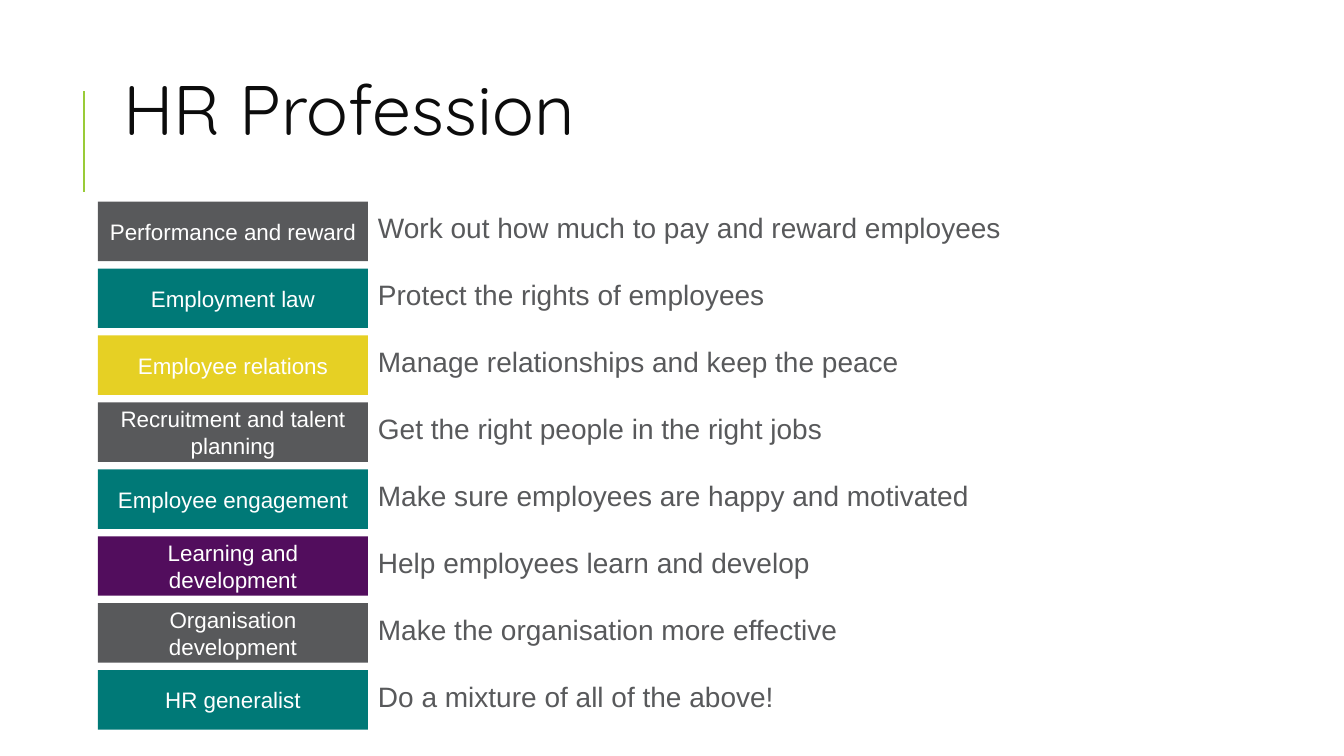
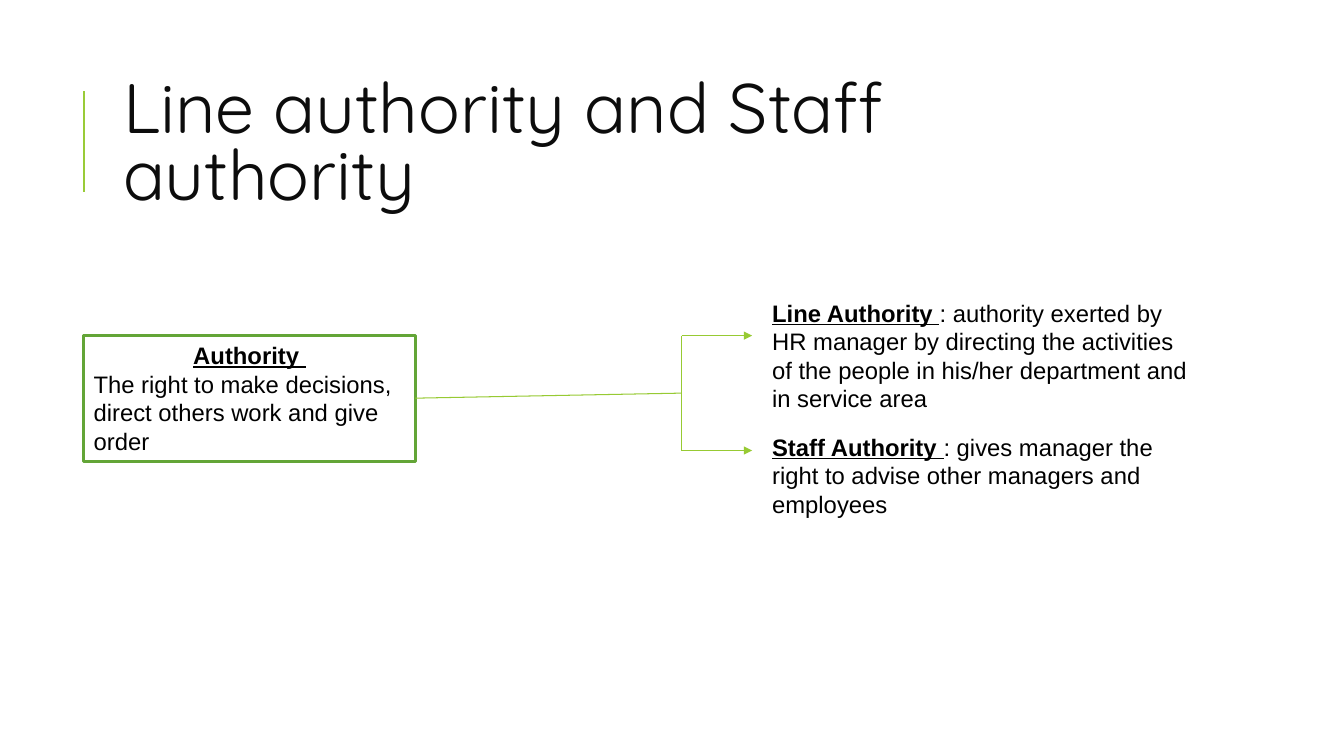
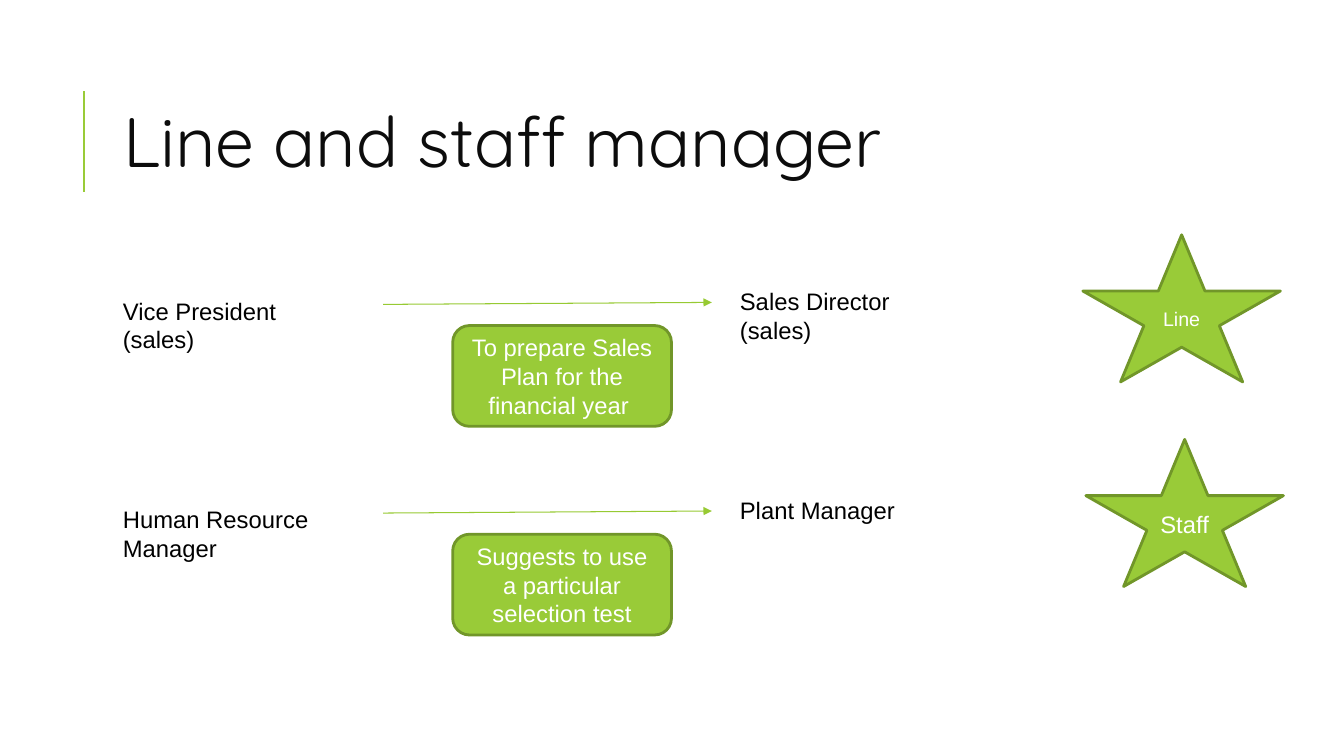
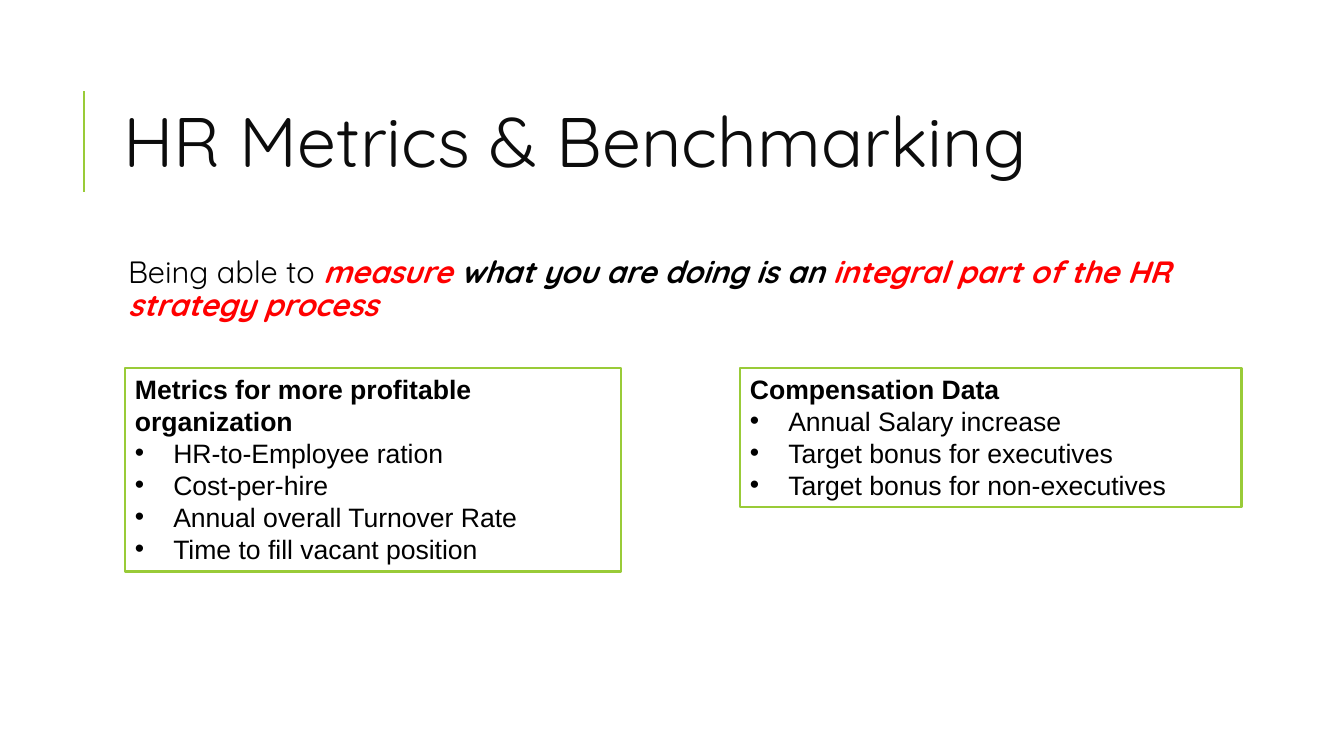
from lxml import etree
from pptx import Presentation
from pptx.dml.color import RGBColor
from pptx.enum.shapes import MSO_CONNECTOR as CONNECTOR, MSO_SHAPE as SHAPE
from pptx.enum.text import MSO_ANCHOR as ANCHOR, MSO_AUTO_SIZE as AUTO_SIZE, PP_ALIGN as ALIGN
from pptx.oxml.ns import qn
from pptx.util import Inches, Pt

COLORS = {
    "title": "0C0C0C", "black": "000000", "white": "FFFFFF", "red": "FF0000",
    "grey": "58595B", "teal": "007977", "yellow": "E6D024", "purple": "520D5D",
    "lime": "99CB38", "arrow": "97CA33", "olive": "719629", "green": "63A537",
}
TITLE_FONT, BODY_FONT = "Quicksand", "Arial"
TERM = {"bold": True, "underline": True}
ROW_TOP, ROW_PITCH = 2, 0.664

PROFESSIONS = [
    ("Performance and reward", "Work out how much to pay and reward employees", "grey"),
    ("Employment law", "Protect the rights of employees", "teal"),
    ("Employee relations", "Manage relationships and keep the peace", "yellow"),
    ("Recruitment and talent planning", "Get the right people in the right jobs", "grey"),
    ("Employee engagement", "Make sure employees are happy and motivated", "teal"),
    ("Learning and development", "Help employees learn and develop", "purple"),
    ("Organisation development", "Make the organisation more effective", "grey"),
    ("HR generalist", "Do a mixture of all of the above!", "teal"),
]


def rgb(name):
    return RGBColor.from_string(COLORS[name])


def format_run(r, size, color="black", font=BODY_FONT, bold=False, italic=False, underline=False):
    f = r.font
    f.size, f.name = Pt(size), font
    f.color.rgb = rgb(color)
    f.bold, f.italic, f.underline = bold, italic, underline


def add_runs(p, runs, **style):
    """Fill a paragraph from a string or from (text, style changes) pairs."""
    for text, changes in [(runs, {})] if isinstance(runs, str) else runs:
        r = p.add_run()
        r.text = text
        format_run(r, **{**style, **changes})


def add_bullet(p):
    pPr = p._p.get_or_add_pPr()
    pPr.set("marL", str(Inches(0.38)))
    pPr.set("indent", str(-Inches(0.38)))
    etree.SubElement(pPr, qn("a:buFont")).set("typeface", BODY_FONT)
    etree.SubElement(pPr, qn("a:buChar")).set("char", "•")


def next_paragraph(tf, first):
    p = tf.paragraphs[0] if first else tf.add_paragraph()
    p.alignment = ALIGN.LEFT
    return p


def add_text(slide, at, runs, size=17, spacing=None, **style):
    tf = slide.shapes.add_textbox(*map(Inches, at)).text_frame
    tf.word_wrap = True
    p = next_paragraph(tf, True)
    p.line_spacing = spacing
    add_runs(p, runs, size=size, **style)
    return tf


def add_box(slide, at, fill, line=None, shape=SHAPE.RECTANGLE, anchor=ANCHOR.TOP):
    sp = slide.shapes.add_shape(shape, *map(Inches, at))
    sp.shadow.inherit = False
    sp.fill.solid()
    sp.fill.fore_color.rgb = rgb(fill)
    if line:
        sp.line.color.rgb = rgb(line)
        sp.line.width = Pt(2)
    else:
        sp.line.fill.background()
    tf = sp.text_frame
    tf.word_wrap = True
    tf.vertical_anchor = anchor
    return tf


def add_label(slide, at, text, fill, size=17, **box):
    """Filled shape with centred white text."""
    tf = add_box(slide, at, fill, anchor=ANCHOR.MIDDLE, **box)
    p = tf.paragraphs[0]
    p.alignment = ALIGN.CENTER
    add_runs(p, text, size=size, color="white")


def add_line(slide, start, end, color="arrow", width=0.75, arrow=False):
    line = slide.shapes.add_connector(CONNECTOR.STRAIGHT, *map(Inches, (*start, *end)))
    line.line.color.rgb = rgb(color)
    line.line.width = Pt(width)
    if arrow:
        etree.SubElement(line.line._get_or_add_ln(), qn("a:tailEnd")).set("type", "triangle")
    etree.SubElement(line._element.spPr, qn("a:effectLst"))


def add_slide(prs, title, top=0.64):
    slide = prs.slides.add_slide(prs.slide_layouts[5])
    add_line(slide, (0.83, 1.9), (0.83, 0.9), "lime", 1.5)
    sp = slide.shapes.title
    sp.left, sp.top, sp.width, sp.height = map(Inches, (1.12, top, 10.63, 1.64))
    tf = sp.text_frame
    tf.auto_size = AUTO_SIZE.NONE
    tf.word_wrap = True
    tf.vertical_anchor = ANCHOR.MIDDLE
    p = next_paragraph(tf, True)
    p.line_spacing = 0.8
    add_runs(p, title, size=50, color="title", font=TITLE_FONT)
    return slide


def add_list_box(slide, at, heading, items):
    tf = add_box(slide, at, "white", "lime")
    add_runs(next_paragraph(tf, True), heading, size=19, bold=True)
    for item in items:
        p = next_paragraph(tf, False)
        add_bullet(p)
        add_runs(p, item, size=19)


def build_professions(prs):
    slide = add_slide(prs, "HR Profession", top=0.32)
    for i, (name, task, color) in enumerate(PROFESSIONS):
        top = ROW_TOP + i * ROW_PITCH
        add_label(slide, (0.97, top, 2.68, 0.59), name, color, size=16)
        add_text(slide, (3.65, top + 0.08, 8.77, 0.59), task, size=20, spacing=0.9, color="grey")


def build_authority(prs):
    slide = add_slide(prs, "Line authority and Staff authority")
    tf = add_box(slide, (0.83, 3.33, 3.29, 1.25), "white", "green")
    p = next_paragraph(tf, True)
    p.alignment = ALIGN.CENTER
    add_runs(p, "Authority ", size=17, **TERM)
    add_runs(next_paragraph(tf, False),
             "The right to make decisions, direct others work and give order", size=17)

    fork_x, branches = 6.76, (3.33, 4.47)
    add_line(slide, (4.12, 3.95), (fork_x, 3.9))
    add_line(slide, (fork_x, branches[0]), (fork_x, branches[1]))
    for y in branches:
        add_line(slide, (fork_x, y), (7.46, y), arrow=True)

    for top, height, term, meaning in [
        (2.91, 1.25, "Line Authority ", ": authority exerted by HR manager by directing the "
                                        "activities of the people in his/her department and in service area"),
        (4.24, 0.96, "Staff Authority ", ": gives manager the right to advise other managers and employees"),
    ]:
        add_text(slide, (7.56, top, 4.44, height), [(term, TERM), (meaning, {})])


def build_managers(prs):
    slide = add_slide(prs, "Line and staff manager")
    for top, giver, receiver, task, kind, star_at, star_size in [
        (2.8, "Vice President (sales)", "Sales Director (sales)",
         "To prepare Sales Plan for the financial year ", "Line", (10.74, 2.33), 14),
        (4.87, "Human Resource Manager", "Plant Manager",
         "Suggests to use a particular selection test", "Staff", (10.77, 4.36), 17),
    ]:
        add_text(slide, (1.12, top + 0.09, 2.37, 0.67), giver)
        add_text(slide, (7.24, top, 2.37, 0.67), receiver)
        add_line(slide, (3.8, top + 0.22), (7.06, top + 0.2), arrow=True)
        add_label(slide, (4.49, top + 0.43, 2.17, 1), task, "lime",
                  line="olive", shape=SHAPE.ROUNDED_RECTANGLE)
        add_label(slide, (*star_at, 1.96, 1.46), kind, "lime", star_size,
                  line="olive", shape=SHAPE.STAR_5_POINT)


def build_metrics(prs):
    slide = add_slide(prs, "HR Metrics & Benchmarking")
    strong = {"bold": True, "italic": True}
    key = {**strong, "color": "red"}
    tf = add_text(slide, (1.12, 2.5, 10.63, 0.91), [
        ("Being able to ", {}),
        ("measure", key),
        (" what you are doing is an ", strong),
        ("integral part of the HR strategy process", key),
    ], size=22, spacing=0.9, font=TITLE_FONT)
    tf.margin_left, tf.margin_right = Inches(0.15), Inches(0.05)
    add_list_box(slide, (1.24, 3.65, 4.92, 2.02), "Metrics for more profitable organization", [
        "HR-to-Employee ration", "Cost-per-hire",
        "Annual overall Turnover Rate", "Time to fill vacant position"])
    add_list_box(slide, (7.34, 3.65, 4.97, 1.38), "Compensation Data", [
        "Annual Salary increase", "Target bonus for executives", "Target bonus for non-executives"])


def main():
    prs = Presentation()
    prs.slide_width, prs.slide_height = Inches(13.33), Inches(7.5)
    for build in (build_professions, build_authority, build_managers, build_metrics):
        build(prs)
    prs.save("out.pptx")


if __name__ == "__main__":
    main()
